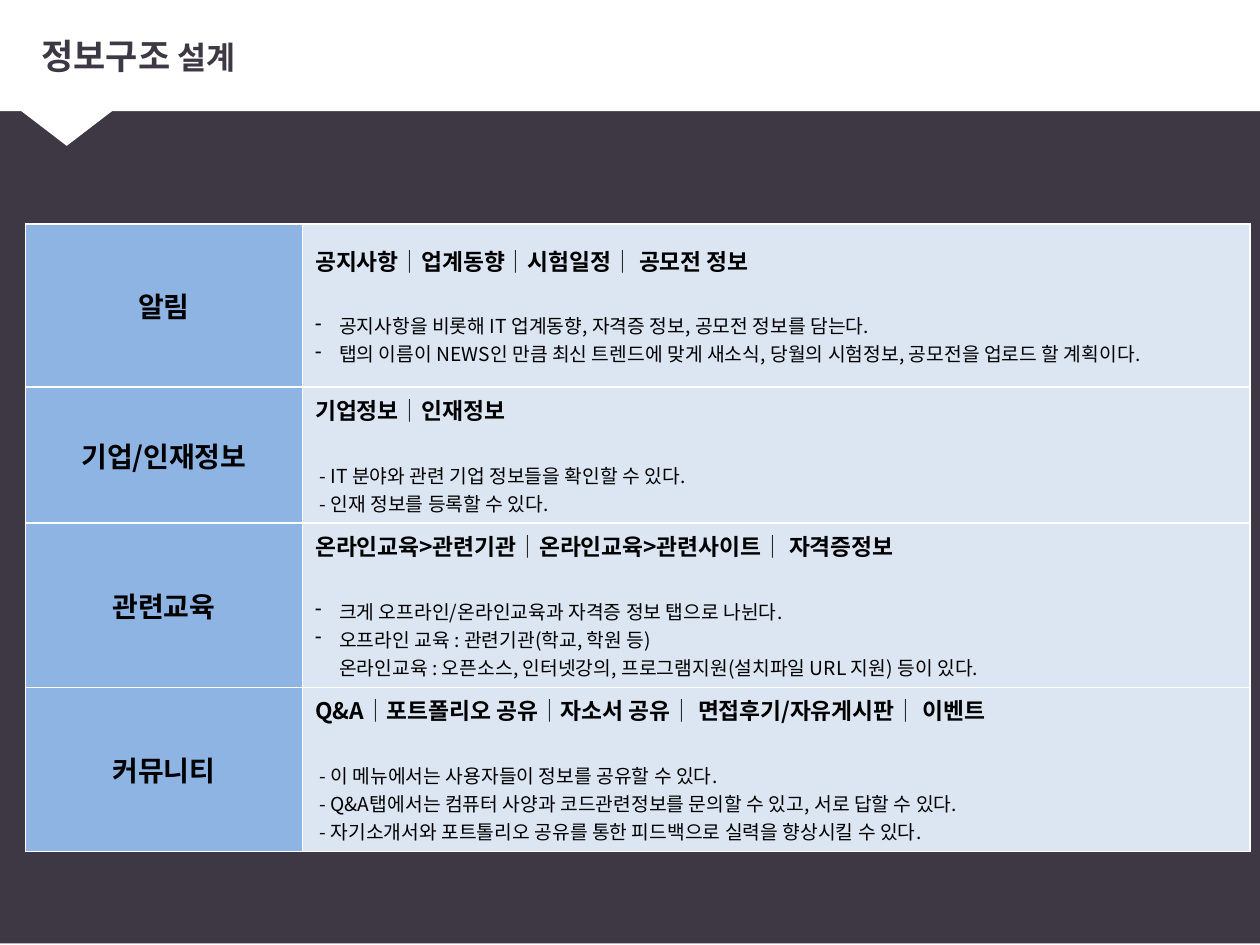
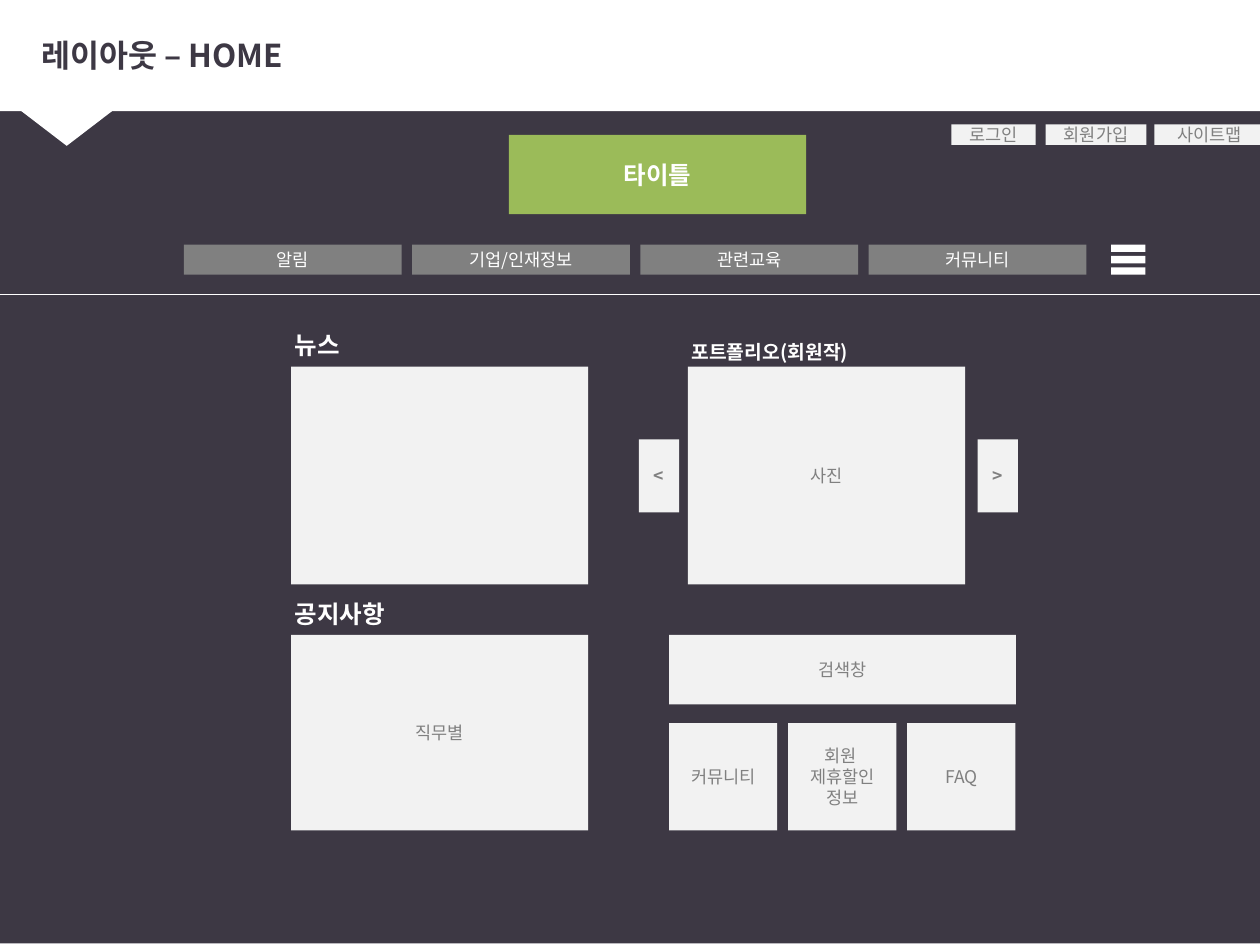
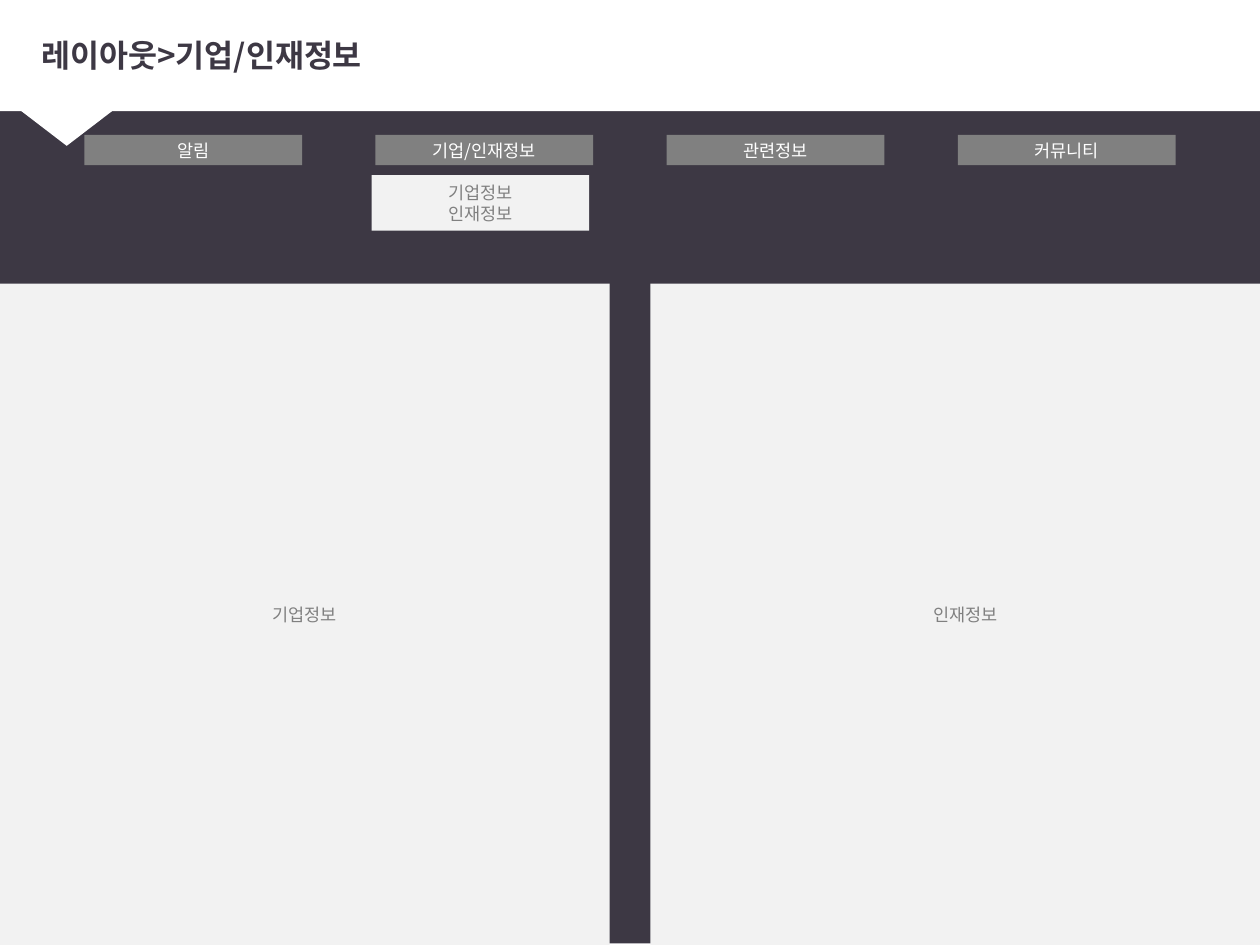
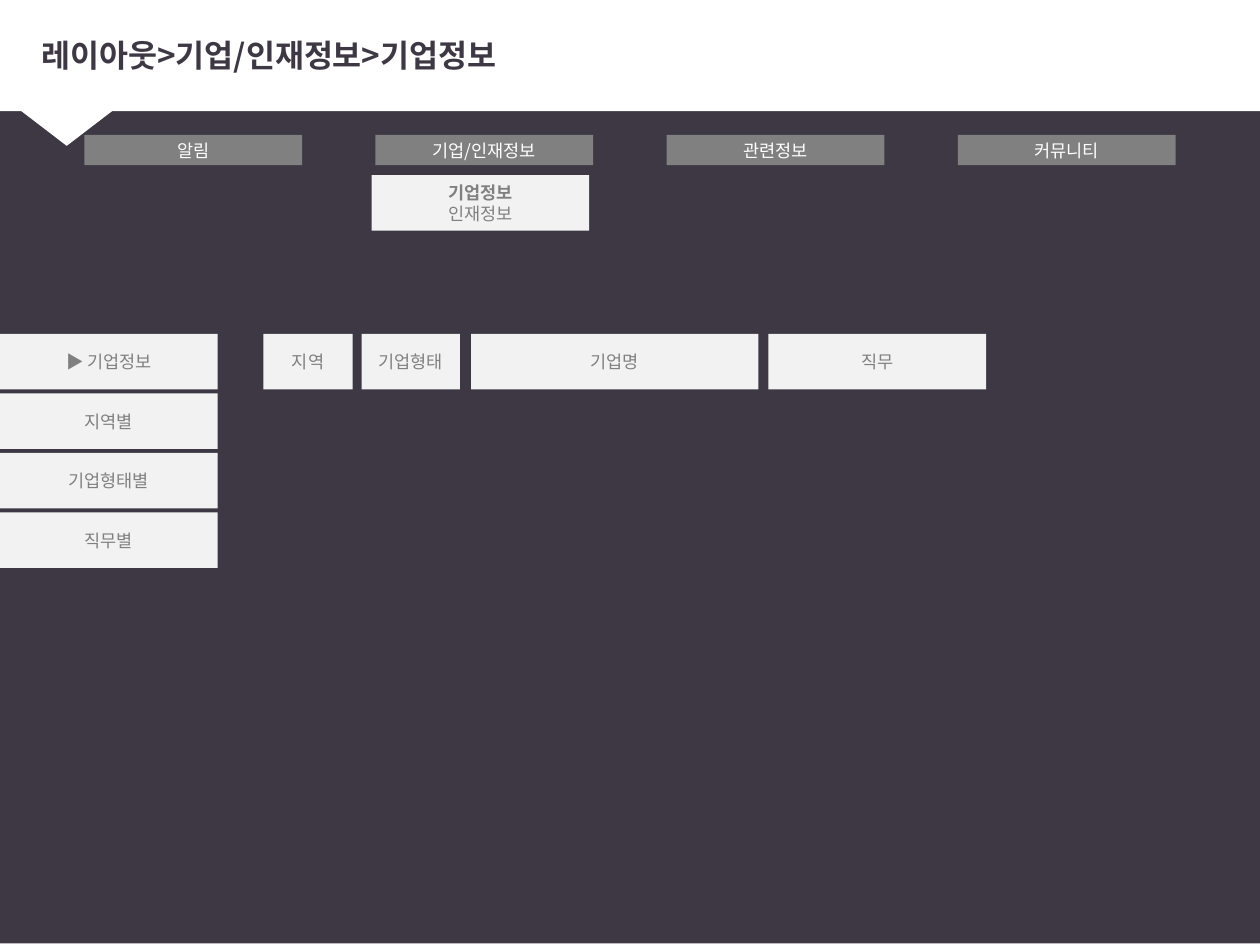
from lxml.etree import SubElement
from pptx import Presentation
from pptx.dml.color import RGBColor
from pptx.enum.shapes import MSO_CONNECTOR as Connector, MSO_SHAPE as Preset
from pptx.enum.text import MSO_ANCHOR as Anchor, MSO_AUTO_SIZE as AutoSize, PP_ALIGN as Align
from pptx.oxml.ns import qn
from pptx.util import Cm, Pt

FONT = "Noto Sans CJK KR"
DARK, WHITE, BLACK = "3D3844", "FFFFFF", "000000"
GRAY, LIGHT, GREEN = "808080", "F2F2F2", "9BBB59"
BLUE, PALE = "8EB4E3", "DCE6F2"

TAB_WIDTH, TAB_HEIGHT = 4.39, 0.61
ITEM_HEIGHT = 1.12
INDENT = 0.48

SITE_MAP = [
    ("알림", 3.28, "공지사항│업계동향│시험일정│ 공모전 정보", [
        ("bullet", "공지사항을 비롯해 IT 업계동향, 자격증 정보, 공모전 정보를 담는다."),
        ("bullet", "탭의 이름이 NEWS인 만큼 최신 트렌드에 맞게 새소식, 당월의 시험정보, 공모전을 업로드 할 계획이다."),
    ]),
    ("기업/인재정보", 2.67, "기업정보│인재정보", [
        ("plain", " - IT 분야와 관련 기업 정보들을 확인할 수 있다."),
        ("plain", " - 인재 정보를 등록할 수 있다."),
    ]),
    ("관련교육", 3.28, "온라인교육>관련기관│온라인교육>관련사이트│ 자격증정보", [
        ("bullet", "크게 오프라인/온라인교육과 자격증 정보 탭으로 나뉜다."),
        ("bullet", "오프라인 교육 : 관련기관(학교, 학원 등)"),
        ("indent", "온라인교육 : 오픈소스, 인터넷강의, 프로그램지원(설치파일 URL 지원) 등이 있다."),
    ]),
    ("커뮤니티", 3.28, "Q&A│포트폴리오 공유│자소서 공유│ 면접후기/자유게시판│ 이벤트", [
        ("plain", " - 이 메뉴에서는 사용자들이 정보를 공유할 수 있다."),
        ("plain", " - Q&A탭에서는 컴퓨터 사양과 코드관련정보를 문의할 수 있고, 서로 답할 수 있다."),
        ("plain", " - 자기소개서와 포트톨리오 공유를 통한 피드백으로 실력을 향상시킬 수 있다."),
    ]),
]


def color(value):
    return RGBColor.from_string(value)


def write(para, text, size=10, ink=GRAY, bold=False, align=None):
    span = para.add_run()
    span.text = text
    span.font.size = Pt(size)
    span.font.bold = bold
    span.font.color.rgb = color(ink)
    span.font.name = FONT
    SubElement(span.font._element, qn("a:ea"), typeface=FONT)
    if align is not None:
        para.alignment = align


def add_block(parent, left, top, width, height, fill=LIGHT, preset=Preset.RECTANGLE):
    block = parent.shapes.add_shape(preset, Cm(left), Cm(top), Cm(width), Cm(height))
    block.shadow.inherit = False
    block.fill.solid()
    block.fill.fore_color.rgb = color(fill)
    block.line.fill.background()
    return block


def add_box(page, text, left, top, width, height, fill=LIGHT, bold_first=False, **style):
    frame = add_block(page, left, top, width, height, fill).text_frame
    frame.word_wrap = True
    frame.vertical_anchor = Anchor.MIDDLE
    for index, line in enumerate(text.split("\n")):
        para = frame.add_paragraph() if index else frame.paragraphs[0]
        line_style = dict(style, bold=True) if bold_first and index == 0 else style
        write(para, line, align=Align.CENTER, **line_style)


def add_label(page, text, left, top, width, height, size=14):
    frame = page.shapes.add_textbox(Cm(left), Cm(top), Cm(width), Cm(height)).text_frame
    frame.word_wrap = True
    frame.auto_size = AutoSize.SHAPE_TO_FIT_TEXT
    write(frame.paragraphs[0], text, size=size, ink=WHITE, bold=True)


def dress_layout(layout, page):
    parts = [
        add_block(page, 0, -0.03, 25.76, 19.05, DARK),
        add_block(page, -0.08, -0.05, 25.83, 2.29, WHITE),
        add_block(page, -0.51, 1.52, 3.71, 1.42, WHITE, Preset.ISOSCELES_TRIANGLE),
    ]
    parts[-1].rotation = 180
    for index, part in enumerate(parts, start=2):
        layout.shapes.element.insert(index, part.element)


def add_title(page, *pieces):
    title = page.shapes.title
    title.left, title.top, title.width, title.height = Cm(0.58), Cm(0.33), Cm(24.54), Cm(1.57)
    frame = title.text_frame
    frame.auto_size = AutoSize.NONE
    frame.word_wrap = True
    frame.vertical_anchor = Anchor.MIDDLE
    for text, size in pieces:
        write(frame.paragraphs[0], text, size=size, ink=DARK, bold=True, align=Align.LEFT)


def format_cell(cell, fill):
    cell.vertical_anchor = Anchor.MIDDLE
    properties = cell._tc.get_or_add_tcPr()
    for side in ("lnL", "lnR", "lnT", "lnB"):
        border = SubElement(properties, qn(f"a:{side}"), w=str(Pt(1)))
        SubElement(SubElement(border, qn("a:solidFill")), qn("a:srgbClr"), val=WHITE)
    cell.fill.solid()
    cell.fill.fore_color.rgb = color(fill)


def format_detail(para, kind):
    if kind == "plain":
        return
    properties = para._p.get_or_add_pPr()
    properties.set("marL", str(Cm(INDENT)))
    if kind == "bullet":
        properties.set("indent", str(-Cm(INDENT)))
        SubElement(properties, qn("a:buChar"), char="-")


def add_site_map(page, left, top, widths):
    heights = [height for _, height, _, _ in SITE_MAP]
    table = page.shapes.add_table(len(SITE_MAP), 2, Cm(left), Cm(top),
                                  Cm(sum(widths)), Cm(sum(heights))).table
    table.first_row = table.horz_banding = False
    for column, width in zip(table.columns, widths):
        column.width = Cm(width)
    for row, (menu, height, submenus, details) in zip(table.rows, SITE_MAP):
        row.height = Cm(height)
        name_cell, detail_cell = row.cells
        format_cell(name_cell, BLUE)
        format_cell(detail_cell, PALE)
        write(name_cell.text_frame.paragraphs[0], menu, size=16, ink=BLACK, bold=True,
              align=Align.CENTER)
        heading = detail_cell.text_frame.paragraphs[0]
        write(heading, submenus, size=13, ink=BLACK, bold=True)
        heading.space_after = Pt(20)
        for kind, text in details:
            para = detail_cell.text_frame.add_paragraph()
            format_detail(para, kind)
            write(para, text, size=11, ink=BLACK)


def add_menu(page, left, top, step, education):
    for index, text in enumerate(["알림", "기업/인재정보", education, "커뮤니티"]):
        add_box(page, text, left + index * step, top, TAB_WIDTH, TAB_HEIGHT, GRAY, ink=WHITE)


def add_row(page, top, height, cells):
    for text, left, width in cells:
        add_box(page, text, left, top, width, height)


def add_menu_icon(page, left, top):
    icon = page.shapes.add_group_shape()
    for index in range(3):
        add_block(icon, left, top + index * 0.23, 0.69, 0.15, WHITE)


def add_divider(page, top):
    divider = page.shapes.add_connector(Connector.STRAIGHT, Cm(-0.08), Cm(top), Cm(25.91), Cm(top))
    divider.line.color.rgb = color(WHITE)
    divider.line.width = Pt(0.75)
    SubElement(divider._element.spPr, qn("a:effectLst"))


def add_news(page, left, top):
    add_label(page, "뉴스", left - 0.18, top - 0.86, 1.83, 0.86)
    add_block(page, left, top, 5.99, 4.39)


def add_notices(page, left, top):
    add_label(page, "공지사항", left - 0.18, top - 0.84, 2.92, 0.86)
    add_box(page, "직무별", left, top, 5.99, 3.94)


def add_portfolio(page, left, top):
    add_label(page, "포트폴리오(회원작)", left - 0.18, top - 0.66, 5.28, 0.74, size=11)
    add_box(page, "사진", left, top, 5.59, 4.39)
    for text, offset in (("<", -0.99), (">", 5.84)):
        add_box(page, text, left + offset, top + 1.47, 0.81, 1.47, bold=True)


def add_search(page, left, top):
    add_box(page, "검색창", left, top, 6.99, 1.4)
    for index, text in enumerate(["커뮤니티", "회원 \n제휴할인 정보", "FAQ"]):
        add_box(page, text, left + index * 2.4, top + 1.78, 2.18, 2.16)


def add_company_menu(page, bold_first=False):
    add_menu(page, 1.7, 2.72, 5.87, "관련정보")
    add_box(page, "기업정보\n인재정보", 7.49, 3.53, TAB_WIDTH, ITEM_HEIGHT, bold_first=bold_first)


def add_sidebar(page, left, top):
    for index, text in enumerate(["▶ 기업정보", "지역별", "기업형태별", "직무별"]):
        add_box(page, text, left, top + index * 1.2, TAB_WIDTH, ITEM_HEIGHT)


def build_structure(page):
    add_title(page, ("정보구조", 20), (" 설계", 18))
    add_site_map(page, 0.51, 4.52, (5.59, 19.1))


def build_home(page):
    add_title(page, ("레이아웃 – HOME", 18))
    add_row(page, 2.51, 0.41, [("로그인", 19.18, 1.7), ("회원가입", 21.08, 2.03), ("사이트맵", 23.27, 2.24)])
    add_box(page, "타이틀", 10.26, 2.72, 5.99, 1.6, GREEN, size=14, ink=WHITE, bold=True)
    add_menu(page, 3.71, 4.93, 4.6, "관련교육")
    add_menu_icon(page, 22.4, 4.93)
    add_divider(page, 5.94)
    add_news(page, 5.87, 7.39)
    add_portfolio(page, 13.87, 7.39)
    add_notices(page, 5.87, 12.8)
    add_search(page, 13.49, 12.8)


def build_companies(page):
    add_title(page, ("레이아웃>기업/인재정보", 18))
    add_company_menu(page)
    add_row(page, 5.72, 13.34, [("기업정보", 0, 12.29), ("인재정보", 13.11, 12.7)])


def build_company_list(page):
    add_title(page, ("레이아웃>기업/인재정보>기업정보", 18))
    add_company_menu(page, bold_first=True)
    add_sidebar(page, 0, 6.73)
    add_row(page, 6.73, ITEM_HEIGHT, [
        ("지역", 5.31, 1.8), ("기업형태", 7.29, 1.98), ("기업명", 9.5, 5.79), ("직무", 15.49, 4.39),
    ])


def main():
    deck = Presentation()
    deck.slide_width, deck.slide_height = Cm(25.4), Cm(19.05)
    layout = deck.slide_layouts[5]
    builders = [build_structure, build_home, build_companies, build_company_list]
    pages = [deck.slides.add_slide(layout) for _ in builders]
    dress_layout(layout, pages[0])
    for build, page in zip(builders, pages):
        build(page)
    deck.save("out.pptx")


if __name__ == "__main__":
    main()
